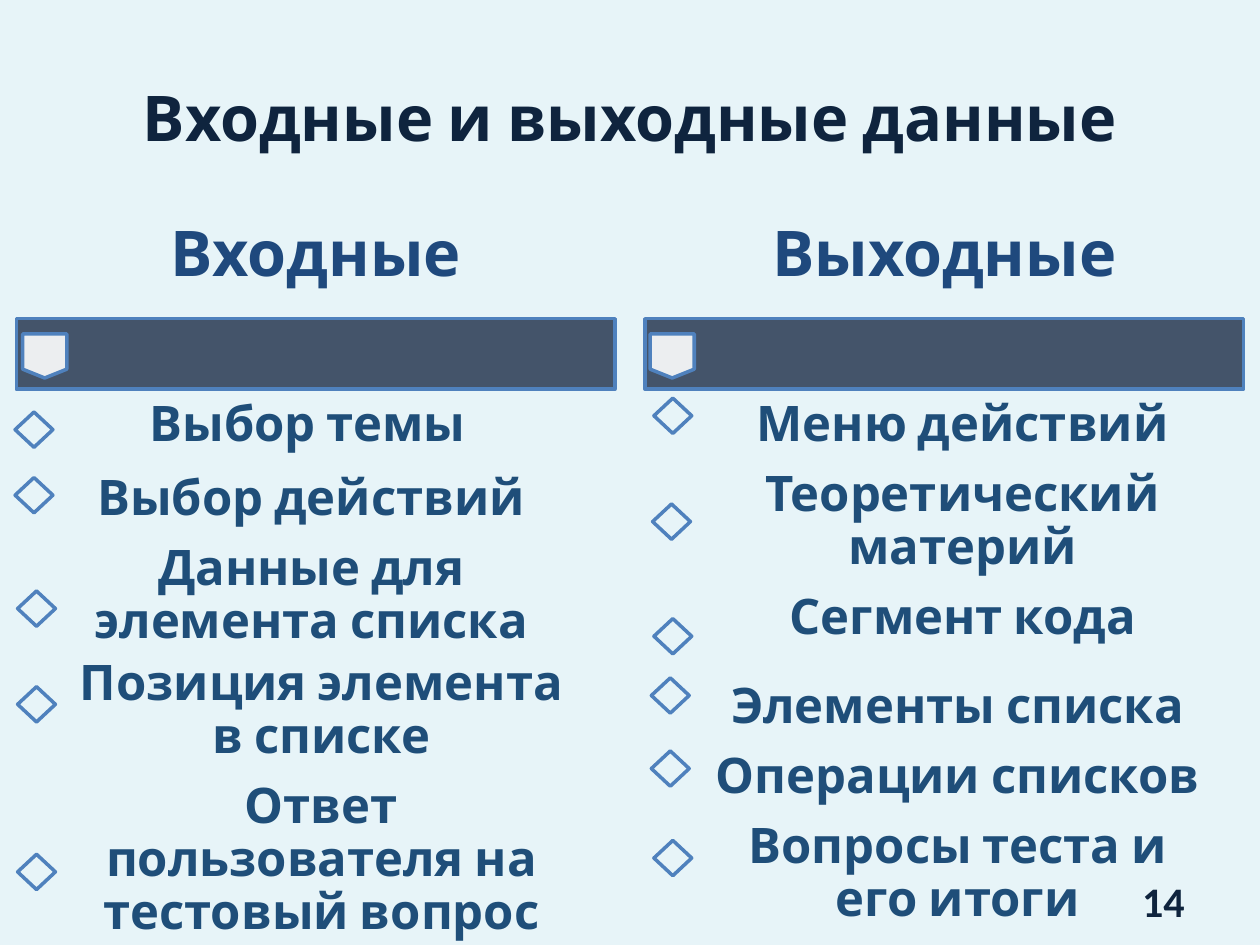
from dataclasses import dataclass

from pptx import Presentation
from pptx.dml.color import RGBColor
from pptx.enum.shapes import MSO_SHAPE as Kind
from pptx.enum.text import MSO_ANCHOR as Anchor, PP_ALIGN as Align
from pptx.util import Inches, Pt

COLORS = {
    "back": "E7F4F8",
    "dark": "0F243E",
    "head": "1F497D",
    "body": "1F4E79",
    "bar": "44546A",
    "tag": "ECEEF0",
    "line": "4F81BD",
}


@dataclass
class Box:
    left: float
    top: float
    width: float
    height: float


@dataclass
class Style:
    size: int
    color: str
    font: str = "Cabin"
    align: Align = Align.CENTER
    inset: tuple[float, float] = (0.1, 0.05)
    tight: bool = False


@dataclass
class Panel:
    left: float
    tag: float
    title: str
    texts: list[tuple[Box, list[str]]]
    marks: list[tuple[float, float]]


TITLE = Style(36, "dark")
HEAD = Style(36, "head", inset=(0.07, 0.05), tight=True)
BODY = Style(28, "body", inset=(0.22, 0.22), tight=True)
PAGE = Style(24, "dark", font="Calibri", align=Align.RIGHT)

PANELS = [
    Panel(
        0.13, 0.18, "Входные",
        [
            (Box(0.23, 2.97, 4.42, 0.81), ["Выбор темы"]),
            (Box(0.26, 3.68, 4.42, 1.54),
             ["Выбор действий", "Данные для элемента списка"]),
            (Box(0.34, 5.68, 4.42, 1.32),
             ["Позиция элемента в списке",
              "Ответ пользователя на тестовый вопрос"]),
        ],
        [(0.12, 3.27), (0.12, 3.79), (0.14, 4.69), (0.14, 5.45), (0.14, 6.78)],
    ),
    Panel(
        5.12, 5.16, "Выходные",
        [
            (Box(5.43, 3.43, 4.42, 1.43),
             ["Меню действий", "Теоретический материй", "Сегмент кода"]),
            (Box(5.39, 5.26, 4.42, 2.24),
             ["Элементы списка", "Операции списков",
              "Вопросы теста и его итоги"]),
        ],
        [(5.19, 3.16), (5.18, 4), (5.19, 4.91),
         (5.17, 5.38), (5.17, 5.96), (5.19, 6.67)],
    ),
]


def paint(name: str) -> RGBColor:
    """Return the named colour."""
    return RGBColor.from_string(COLORS[name])


def place(box: Box) -> list[int]:
    """Return the box as lengths."""
    return [Inches(n) for n in (box.left, box.top, box.width, box.height)]


def add_text(slide, box: Box, lines: list[str], style: Style) -> None:
    """Add a text box with one paragraph a line."""
    frame = slide.shapes.add_textbox(*place(box)).text_frame
    frame.word_wrap = True
    frame.vertical_anchor = Anchor.MIDDLE
    side, edge = style.inset
    frame.margin_left = frame.margin_right = Inches(side)
    frame.margin_top = frame.margin_bottom = Inches(edge)
    frame.text = "\n".join(lines)
    for para in frame.paragraphs:
        para.alignment = style.align
        if style.tight:
            para.line_spacing = 0.9
            para.space_after = Pt(style.size * 0.35)
        font = para.runs[0].font
        font.name = style.font
        font.size = Pt(style.size)
        font.bold = True
        font.color.rgb = paint(style.color)


def add_shape(slide, kind: Kind, box: Box, fill: str = "") -> None:
    """Add an outlined shape, filled if a colour is named."""
    shape = slide.shapes.add_shape(kind, *place(box))
    shape.shadow.inherit = False
    if fill:
        shape.fill.solid()
        shape.fill.fore_color.rgb = paint(fill)
    else:
        shape.fill.background()
    shape.line.color.rgb = paint("line")
    shape.line.width = Pt(2)


def add_panel(slide, panel: Panel) -> None:
    """Add a headed column with its marks."""
    add_shape(slide, Kind.RECTANGLE, Box(panel.left, 2.53, 4.75, 0.56), "bar")
    add_shape(slide, Kind.FLOWCHART_OFFPAGE_CONNECTOR,
              Box(panel.tag, 2.65, 0.35, 0.35), "tag")
    add_text(slide, Box(panel.left, 1.53, 4.75, 1), [panel.title], HEAD)
    for box, lines in panel.texts:
        add_text(slide, box, lines, BODY)
    for left, top in panel.marks:
        add_shape(slide, Kind.DIAMOND, Box(left, top, 0.3, 0.28))


def main() -> None:
    """Build and save the slide."""
    deck = Presentation()
    deck.slide_width = Inches(10)
    deck.slide_height = Inches(7.5)
    slide = deck.slides.add_slide(deck.slide_layouts[6])
    slide.background.fill.solid()
    slide.background.fill.fore_color.rgb = paint("back")
    add_text(slide, Box(0.5, 0.3, 9, 1.25), ["Входные и выходные данные"], TITLE)
    for panel in PANELS:
        add_panel(slide, panel)
    add_text(slide, Box(7.17, 6.95, 2.33, 0.4), ["14"], PAGE)
    deck.save("out.pptx")


if __name__ == "__main__":
    main()
